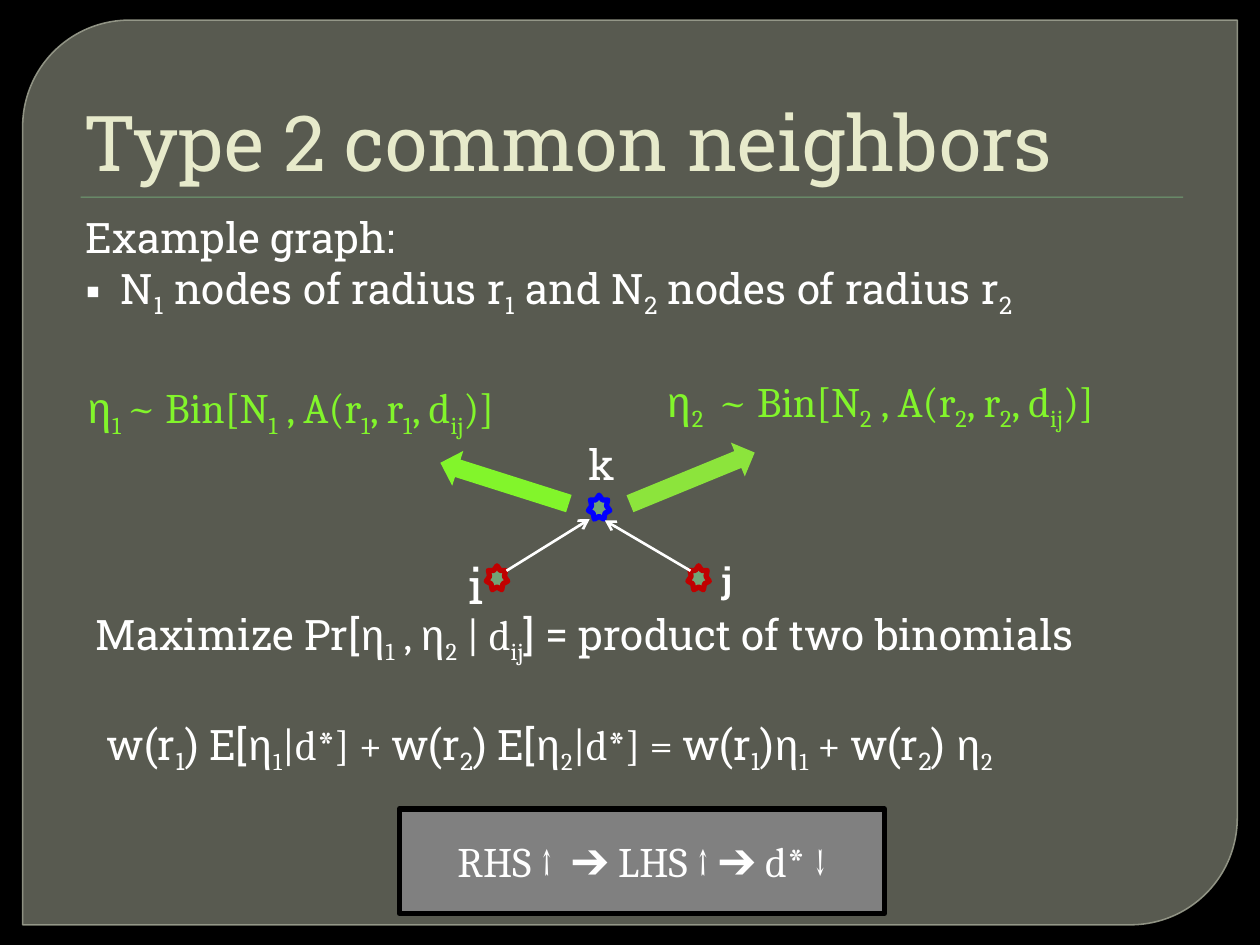
from dataclasses import dataclass

from lxml.etree import SubElement
from pptx import Presentation
from pptx.dml.color import RGBColor
from pptx.enum.shapes import MSO_CONNECTOR, MSO_SHAPE as SHAPE
from pptx.enum.text import MSO_ANCHOR as ANCHOR, MSO_AUTO_SIZE as FIT, PP_ALIGN as ALIGN
from pptx.oxml.ns import qn
from pptx.util import Inches, Pt


@dataclass(frozen=True)
class Theme:
    sans: str = "Roboto Slab"
    math: str = "Cambria"
    back: str = "000000"
    panel: str = "888B7B"
    panel_line: str = "9DA090"
    accent: str = "72A376"
    title: str = "E7EACB"
    text: str = "FFFFFF"
    lime: str = "82F52B"
    lime_soft: str = "8CE43C"
    red: str = "C00000"
    blue: str = "0000FF"
    gray: str = "808080"
    title_size: int = 44
    large_size: int = 28
    body_size: int = 24
    small_size: int = 20


T = Theme()


def rgb(color):
    return RGBColor.from_string(color)


def set_alpha(fill_parent, percent):
    color = fill_parent.find(qn("a:solidFill"))[0]
    SubElement(color, qn("a:alpha"), val=str(percent * 1000))


def place(s, box):
    s.left, s.top, s.width, s.height = (Inches(v) for v in box)


# Text: {..} is a subscript, a backtick switches between the two fonts
def add_runs(p, text, size=T.body_size, color=T.text, bold=None):
    for i, part in enumerate(text.split("`")):
        for j, piece in enumerate(part.replace("}", "{").split("{")):
            if not piece:
                continue
            r = p.add_run()
            r.text = piece
            r.font.name = T.math if i % 2 else T.sans
            r.font.size = Pt(size)
            r.font.color.rgb = rgb(color)
            r.font.bold = bold
            if j % 2:
                r.font._element.set("baseline", "-25000")


def indent(p, left, hanging=0.0, bullet=None):
    pPr = p._p.get_or_add_pPr()
    pPr.set("marL", str(Inches(left)))
    pPr.set("indent", str(-Inches(hanging)))
    if bullet:
        SubElement(pPr, qn("a:buChar"), char=bullet)
    else:
        SubElement(pPr, qn("a:buNone"))


def add_text(slide, box, text, **style):
    s = slide.shapes.add_textbox(*(Inches(v) for v in box))
    s.text_frame.word_wrap = True
    add_runs(s.text_frame.paragraphs[0], text, **style)
    return s.text_frame


def add_shape(slide, kind, box, fill, line=None, width=3, rotation=0):
    s = slide.shapes.add_shape(kind, *(Inches(v) for v in box))
    s.shadow.inherit = False
    s.rotation = rotation
    s.fill.solid()
    s.fill.fore_color.rgb = rgb(fill)
    if line:
        s.line.color.rgb = rgb(line)
        s.line.width = Pt(width)
    else:
        s.line.fill.background()
    return s


def add_edge(slide, start, end):
    c = slide.shapes.add_connector(MSO_CONNECTOR.STRAIGHT, *(Inches(v) for v in start + end))
    c.line.color.rgb = rgb(T.text)
    c.line.width = Pt(1.5)
    SubElement(c.line._get_or_add_ln(), qn("a:tailEnd"), type="arrow")
    SubElement(c._element.spPr, qn("a:effectLst"))


def add_backdrop(slide):
    slide.background.fill.solid()
    slide.background.fill.fore_color.rgb = rgb(T.back)
    panel = add_shape(slide, SHAPE.ROUND_2_DIAG_RECTANGLE, (0.18, 0.16, 9.64, 7.18),
                      T.panel, T.panel_line, 0.87)
    panel.adjustments[0], panel.adjustments[1] = 0.118, 0
    set_alpha(panel._element.spPr, 65)
    set_alpha(panel.line._get_or_add_ln(), 88)
    add_shape(slide, SHAPE.RECTANGLE, (0.64, 1.56, 8.75, 0.01), T.accent)


def fill_placeholders(slide):
    title, body = slide.shapes.title, slide.placeholders[1]
    # Bring both in front of the backdrop
    for s in (title, body):
        slide.shapes._spTree.append(s._element)
        s.text_frame.auto_size = FIT.NONE
        s.text_frame.word_wrap = True

    place(title, (0.5, 0.28, 9, 1.25))
    title.text_frame.vertical_anchor = ANCHOR.BOTTOM
    p = title.text_frame.paragraphs[0]
    p.alignment = ALIGN.LEFT
    indent(p, 0.06)
    add_runs(p, "Type 2 common neighbors", T.title_size, T.title)

    place(body, (0.58, 1.63, 8.62, 0.91))
    tf = body.text_frame
    tf.vertical_anchor = ANCHOR.TOP
    lines = [("Example graph:", 0, None),
             ("N{1} nodes of radius r{1} and N{2} nodes of radius r{2}", 0.28, "▪")]
    for i, (text, left, bullet) in enumerate(lines):
        p = tf.add_paragraph() if i else tf.paragraphs[0]
        p.space_before = Pt(0)
        indent(p, left, left, bullet)
        add_runs(p, text)


def add_graph(slide):
    # Nodes and their labels
    for x, y, color in ((5.46, 4.49, T.red), (3.86, 4.49, T.red), (4.67, 3.93, T.blue)):
        add_shape(slide, SHAPE.STAR_7_POINT, (x, y, 0.17, 0.19), T.accent, color)
    add_text(slide, (3.62, 4.36, 0.34, 0.57), "i", size=T.large_size)
    add_text(slide, (5.63, 4.38, 0.34, 0.44), "j", size=T.small_size, bold=True)
    add_text(slide, (4.57, 3.43, 0.34, 0.5), "k")
    # Edges to k
    add_edge(slide, (4.02, 4.53), (4.68, 4.12))
    add_edge(slide, (5.48, 4.53), (4.8, 4.13))


def add_binomials(slide):
    branches = [(1, "", (0.59, 2.98), (3.47, 3.69), 17.6, T.lime),
                (2, " ", (5.19, 2.93), (4.96, 3.65), 157.7, T.lime_soft)]
    for n, gap, text_at, arrow_at, angle, color in branches:
        add_shape(slide, SHAPE.LEFT_ARROW, arrow_at + (1.07, 0.29), color, rotation=angle)
        formula = f"`η{{{n} }}{gap}~ Bin[N{{{n}}} , A(r{{{n}}}, r{{{n}}}, d{{ij}})]"
        add_text(slide, text_at + (4.15, 0.5), formula, color=T.lime)


def add_estimate(slide):
    tf = add_text(slide, (0, 4.78, 10, 1.4),
                  "Maximize Pr[`η{1} , η{2} | d{ij}`] = product of two binomials")
    indent(tf.paragraphs[0], 0.66)
    p = tf.add_paragraph()
    p.space_before = Pt(30)
    indent(p, 0.75)
    add_runs(p, "w(r{1}) E[`η{1}|d*] + `w(r{2}) E[`η{2}|d*] = "
                "`w(r{1})`η{1} + `w(r{2}) `η{2}")


def add_conclusion(slide):
    s = add_shape(slide, SHAPE.RECTANGLE, (3.17, 6.42, 3.85, 0.83), T.gray, T.back)
    s.text_frame.vertical_anchor = ANCHOR.MIDDLE
    p = s.text_frame.paragraphs[0]
    p.alignment = ALIGN.CENTER
    add_runs(p, "`RHS ↑  ➔ LHS ↑ ➔ d* ↓")


def main():
    prs = Presentation()
    prs.slide_width, prs.slide_height = Inches(10), Inches(7.5)
    slide = prs.slides.add_slide(prs.slide_layouts[1])
    add_backdrop(slide)
    fill_placeholders(slide)
    add_graph(slide)
    add_binomials(slide)
    add_estimate(slide)
    add_conclusion(slide)
    prs.save("out.pptx")


main()
